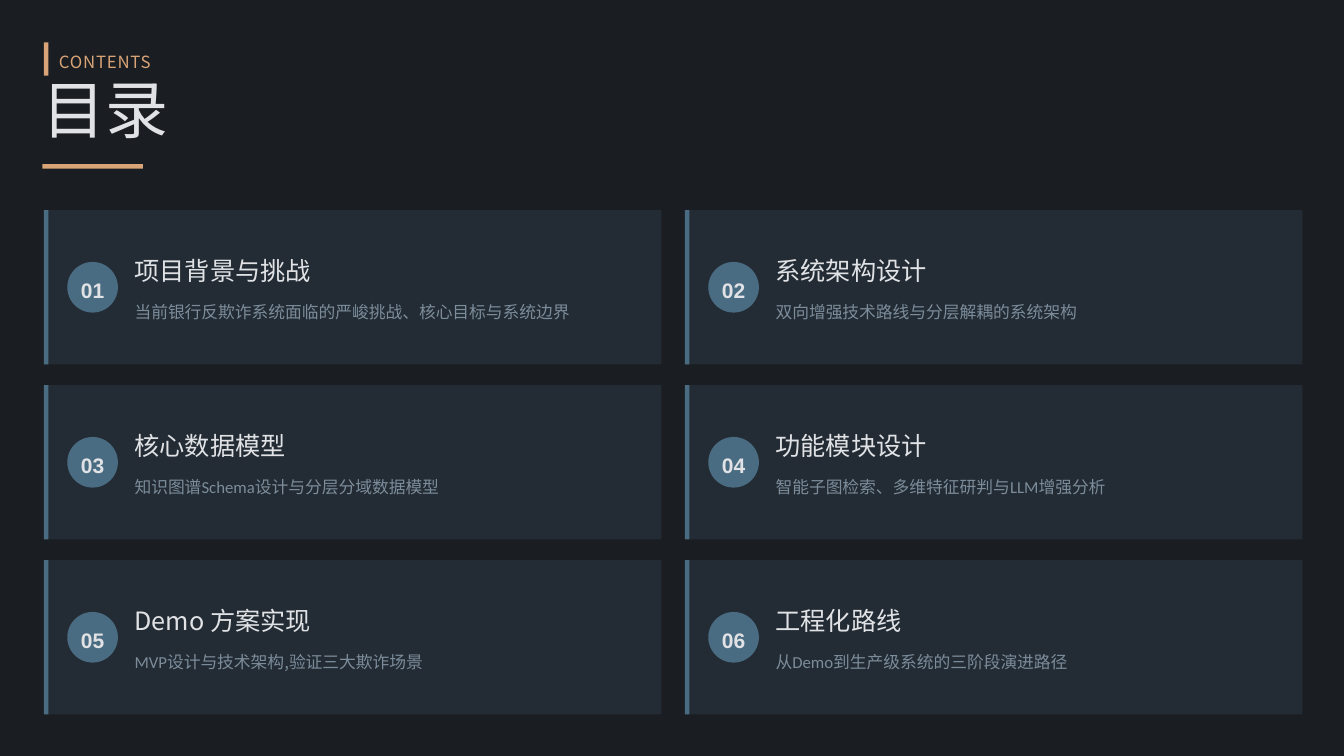
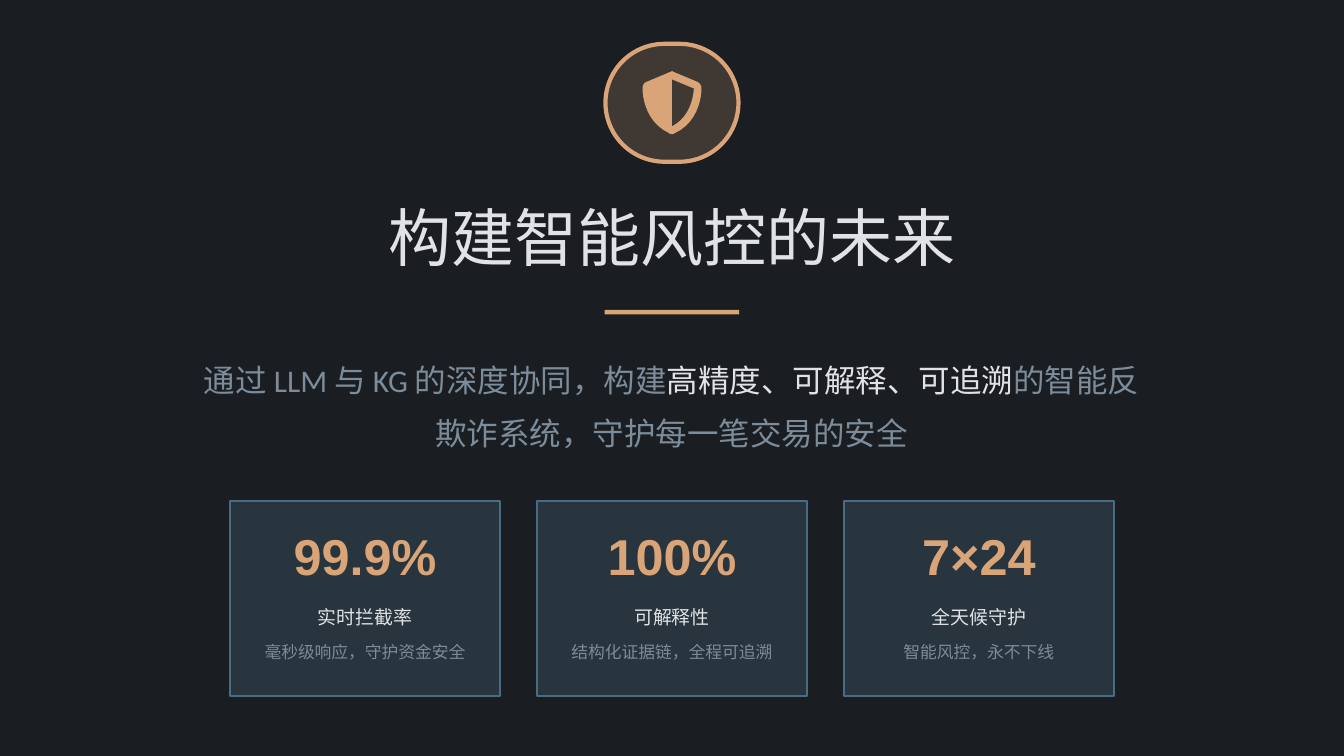
from itertools import groupby

from lxml.etree import SubElement
from pptx import Presentation
from pptx.dml.color import RGBColor
from pptx.enum.shapes import MSO_SHAPE as Shape
from pptx.enum.text import MSO_ANCHOR as Anchor, MSO_AUTO_SIZE as AutoSize, PP_ALIGN as Align
from pptx.oxml.ns import qn
from pptx.util import Inches, Pt

BACKGROUND, ACCENT, STEEL, LIGHT, MUTED = "1A1D21", "D9A477", "4A6C82", "E0E2E5", "7C8C9A"
CJK, LATIN, NUMERAL = "Noto Sans CJK SC", "Calibri", "Arial"

CHAPTERS = [
    ("项目背景与挑战", "当前银行反欺诈系统面临的严峻挑战、核心目标与系统边界"),
    ("系统架构设计", "双向增强技术路线与分层解耦的系统架构"),
    ("核心数据模型", "知识图谱Schema设计与分层分域数据模型"),
    ("功能模块设计", "智能子图检索、多维特征研判与LLM增强分析"),
    ("Demo 方案实现", "MVP设计与技术架构,验证三大欺诈场景"),
    ("工程化路线", "从Demo到生产级系统的三阶段演进路径"),
]
VISION = [
    ("通过 LLM 与 KG 的深度协同，构建", MUTED),
    ("高精度、可解释、可追溯", LIGHT),
    ("的智能反欺诈系统，守护每一笔交易的安全", MUTED),
]
STATS = [
    ("99.9%", "实时拦截率", "毫秒级响应，守护资金安全"),
    ("100%", "可解释性", "结构化证据链，全程可追溯"),
    ("7×24", "全天候守护", "智能风控，永不下线"),
]
SHIELD_OUTLINE = [
    (8.89, 0.94),
    [(8.9, 0.94), (8.9, 0.95), (8.91, 0.95)],
    (9.22, 1.08),
    [(9.25, 1.09), (9.28, 1.13), (9.28, 1.17)],
    [(9.28, 1.33), (9.21, 1.63), (8.93, 1.76)],
    [(8.9, 1.78), (8.87, 1.78), (8.85, 1.76)],
    [(8.57, 1.63), (8.5, 1.33), (8.5, 1.17)],
    [(8.5, 1.13), (8.52, 1.09), (8.56, 1.08)],
    (8.87, 0.95),
]
SHIELD_OPENING = [(8.89, 1.05), (8.89, 1.67), [(9.11, 1.56), (9.17, 1.32), (9.18, 1.17)]]


def color(hex_code):
    return RGBColor.from_string(hex_code)


def is_latin(letter):
    return letter.isascii() and letter.isalpha()


def write(frame, text, size=16, hex_code=LIGHT, font=CJK, latin=None, bold=False,
          align=Align.LEFT, spacing=1.0, tracking=None):
    frame.auto_size = AutoSize.NONE
    frame.word_wrap = True
    frame.vertical_anchor = Anchor.MIDDLE
    frame.margin_left = frame.margin_right = frame.margin_top = frame.margin_bottom = 0
    paragraph = frame.paragraphs[0]
    paragraph.alignment = align
    paragraph.line_spacing = spacing
    parts = [(text, hex_code)] if isinstance(text, str) else text
    for part, part_color in parts:
        for latin_letters, letters in groupby(part, is_latin if latin else lambda letter: False):
            run = paragraph.add_run()
            run.text = "".join(letters)
            run.font.size = Pt(size)
            run.font.bold = bold
            run.font.color.rgb = color(part_color)
            run.font.name = latin if latin_letters else font
            properties = run.font._element
            SubElement(properties, qn("a:ea")).set("typeface", font)
            if tracking:
                properties.set("spc", str(int(tracking * 100)))


def add_text(slide, text, left, top, width, height, **style):
    box = slide.shapes.add_textbox(Inches(left), Inches(top), Inches(width), Inches(height))
    write(box.text_frame, text, **style)


def add_title(slide, text, left, top, width, height, **style):
    title = slide.shapes.title
    title.left, title.top = Inches(left), Inches(top)
    title.width, title.height = Inches(width), Inches(height)
    write(title.text_frame, text, size=60, **style)


def paint(shape, fill, opacity=None, line_width=None):
    shape.shadow.inherit = False
    shape.fill.solid()
    shape.fill.fore_color.rgb = color(fill)
    if opacity:
        fill_color = shape._element.spPr.find(qn("a:solidFill"))[0]
        SubElement(fill_color, qn("a:alpha")).set("val", str(opacity * 1000))
    if line_width:
        shape.line.color.rgb = color(fill)
        shape.line.width = Pt(line_width)
    else:
        shape.line.fill.background()


def add_block(slide, left, top, width, height, fill, kind=Shape.RECTANGLE, **style):
    block = slide.shapes.add_shape(kind, Inches(left), Inches(top), Inches(width), Inches(height))
    paint(block, fill, **style)
    return block


def flatten(outline, steps=10):
    points = [outline[0]]
    for segment in outline[1:]:
        if isinstance(segment, tuple):
            points.append(segment)
            continue
        corners = [points[-1], *segment]
        for step in range(1, steps + 1):
            t = step / steps
            weights = ((1 - t) ** 3, 3 * t * (1 - t) ** 2, 3 * t * t * (1 - t), t ** 3)
            points.append(tuple(sum(weight * corner[axis] for weight, corner in zip(weights, corners))
                                for axis in (0, 1)))
    return [(Inches(x), Inches(y)) for x, y in points]


def add_shield(slide):
    outline, opening = flatten(SHIELD_OUTLINE), flatten(SHIELD_OPENING)
    builder = slide.shapes.build_freeform(*outline[0])
    builder.add_line_segments(outline[1:], close=True)
    builder.move_to(*opening[0])
    builder.add_line_segments(opening[1:], close=True)
    paint(builder.convert_to_shape(), ACCENT)


def grid(count, columns, left, top, right, bottom, width, height):
    rows = count // columns
    step_x = (right - left - width) / (columns - 1)
    step_y = (bottom - top - height) / max(rows - 1, 1)
    return [(left + index % columns * step_x, top + index // columns * step_y)
            for index in range(count)]


def build_contents(slide):
    add_block(slide, 0.58, 0.56, 0.06, 0.44, ACCENT)
    add_text(slide, "CONTENTS", 0.78, 0.63, 1.38, 0.29, hex_code=ACCENT, spacing=1.3, tracking=0.8)
    add_title(slide, "目录", 0.56, 1.11, 17.08, 0.83, spacing=0.8)
    add_block(slide, 0.56, 2.17, 1.33, 0.06, ACCENT)
    width, height, badge_size = 8.17, 2.04, 0.67
    places = grid(len(CHAPTERS), 2, 0.58, 2.78, 17.23, 9.45, width, height)
    for number, ((heading, summary), (left, top)) in enumerate(zip(CHAPTERS, places), 1):
        add_block(slide, left, top, width, height, STEEL, opacity=20)
        add_block(slide, left, top, 0.06, height, STEEL)
        badge = add_block(slide, left + 0.31, top + (height - badge_size) / 2,
                          badge_size, badge_size, STEEL, kind=Shape.OVAL)
        write(badge.text_frame, f"{number:02}", size=20, font=NUMERAL, bold=True,
              align=Align.CENTER, spacing=1.2)
        add_text(slide, heading, left + 1.2, top + 0.56, 6.86, 0.44, size=24, spacing=1.1)
        add_text(slide, summary, left + 1.2, top + 1.11, 6.81, 0.36, hex_code=MUTED,
                 latin=LATIN, spacing=1.4)


def build_closing(slide):
    emblem = add_block(slide, 8.01, 0.58, 1.76, 1.56, ACCENT, kind=Shape.ROUNDED_RECTANGLE,
                       opacity=20, line_width=4)
    emblem.adjustments[0] = 0.5
    add_shield(slide)
    add_title(slide, "构建智能风控的未来", 4.93, 2.61, 7.92, 1.04, align=Align.CENTER)
    add_block(slide, 8, 4.1, 1.78, 0.06, ACCENT)
    add_text(slide, VISION, 2.56, 4.6, 12.65, 1.36, size=30, latin=LATIN,
             align=Align.CENTER, spacing=1.4)
    width, height, text_width = 3.58, 2.58, 3
    places = grid(len(STATS), 3, 3.04, 6.63, 14.74, 9.21, width, height)
    for (value, label, detail), (left, top) in zip(STATS, places):
        add_block(slide, left, top, width, height, STEEL, opacity=30, line_width=2)
        text_left = left + (width - text_width) / 2
        add_text(slide, value, text_left, top + 0.46, text_width, 0.67, size=48, hex_code=ACCENT,
                 font=NUMERAL, bold=True, align=Align.CENTER, spacing=0.8)
        add_text(slide, label, text_left, top + 1.29, text_width, 0.39, size=18,
                 align=Align.CENTER, spacing=1.3)
        add_text(slide, detail, text_left, top + 1.79, text_width, 0.33, hex_code=MUTED,
                 align=Align.CENTER, spacing=1.3)


def main():
    presentation = Presentation()
    presentation.slide_width, presentation.slide_height = Inches(17.78), Inches(10)
    background = presentation.slide_master.background.fill
    background.solid()
    background.fore_color.rgb = color(BACKGROUND)
    title_only = presentation.slide_layouts[5]
    for build in (build_contents, build_closing):
        build(presentation.slides.add_slide(title_only))
    presentation.save("out.pptx")


if __name__ == "__main__":
    main()
